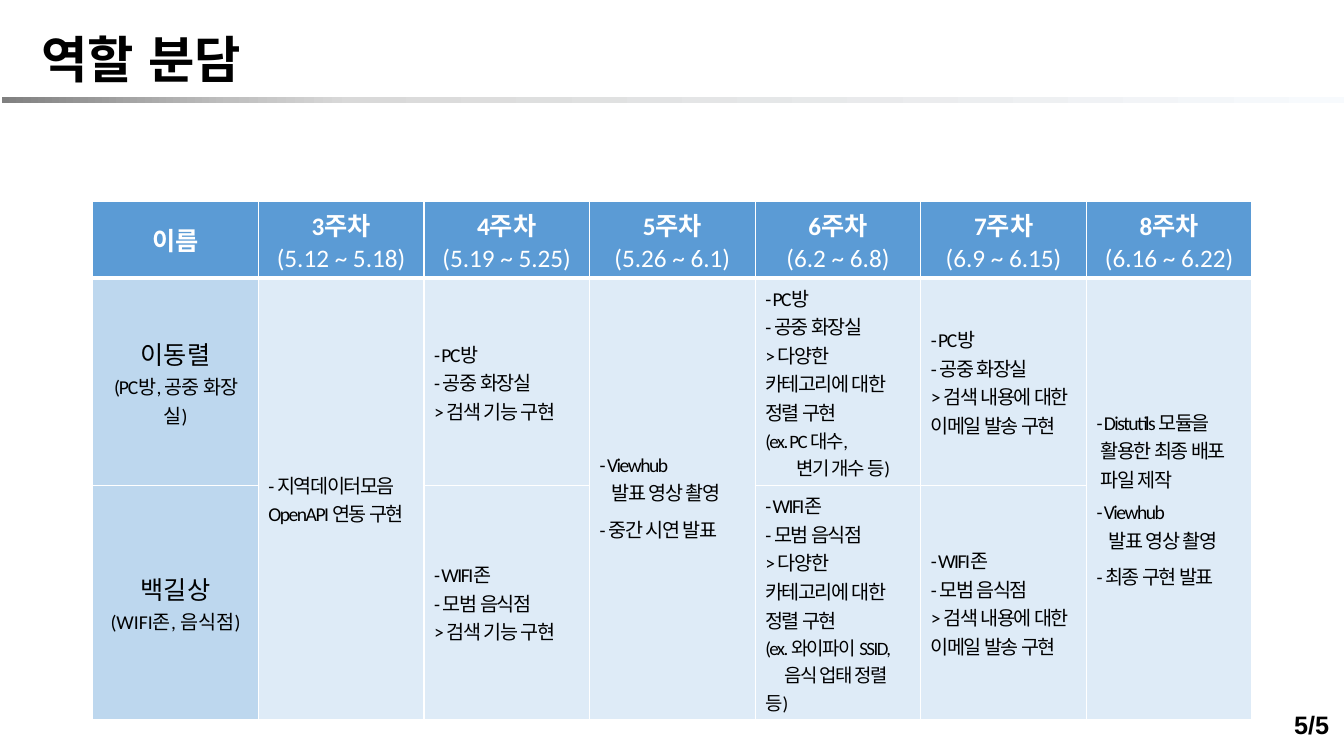
import pptx
import pptx.util
import pptx.dml.color
import pptx.enum.lang
import pptx.enum.shapes
import pptx.enum.text
import lxml.etree

Inches = pptx.util.Inches
Pt = pptx.util.Pt
align = pptx.enum.text.PP_ALIGN
middle = pptx.enum.text.MSO_ANCHOR.MIDDLE
hues = {"black": "000000", "white": "FFFFFF", "head": "5B9BD5",
        "name": "BDD7EE", "body": "DEEBF7"}


def style(para, size, hue="black", bold=False, face="Calibri", track=0):
    for run in para.runs:
        run.font.size = Pt(size)
        run.font.name = face
        run.font.bold = bold
        run.font.language_id = pptx.enum.lang.MSO_LANGUAGE_ID.KOREAN
        run.font.color.rgb = pptx.dml.color.RGBColor.from_string(hues[hue])
        if track:
            run.font._element.set("spc", str(track))


def paint(cell, hue, base):
    cell.vertical_anchor = middle
    cell.fill.solid()
    cell.fill.fore_color.rgb = pptx.dml.color.RGBColor.from_string(hues[hue])
    props = cell._tc.get_or_add_tcPr()
    for spot, side in enumerate("LRTB"):
        wide = base if side == "B" else 1
        line = pptx.oxml.parse_xml(
            f'<a:ln{side} xmlns:a="{space}" w="{Pt(wide)}"><a:solidFill>'
            f'<a:srgbClr val="{hues["white"]}"/></a:solidFill></a:ln{side}>')
        props.insert(spot, line)


space = "http://schemas.openxmlformats.org/drawingml/2006/main"
deck = pptx.Presentation()
deck.slide_width = Inches(13.33)
deck.slide_height = Inches(7.5)
slide = deck.slides.add_slide(deck.slide_layouts[5])

title = slide.shapes.title
title.left, title.top = Inches(0.31), Inches(0.23)
title.width, title.height = Inches(9.09), Inches(0.77)
title.text_frame.text = "역할 분담"
title.text_frame.vertical_anchor = middle
para = title.text_frame.paragraphs[0]
para.alignment = align.LEFT
para.line_spacing = 0.9
style(para, 36, bold=True)

bar = slide.shapes.add_shape(pptx.enum.shapes.MSO_SHAPE.RECTANGLE,
                             Inches(0.02), Inches(0.96), Inches(13.31), Inches(0.06))
bar.shadow.inherit = False
bar.line.fill.background()
bar.fill.gradient()
bar.fill.gradient_angle = 180
stops = bar._element.spPr.find(f".//{{{space}}}gsLst")
for stop in list(stops):
    stops.remove(stop)
for place, hue in ((0, "F7FAFD"), (74, "D9D9D9"), (83, "BFBFBF"), (100, "808080")):
    stop = lxml.etree.SubElement(stops, f"{{{space}}}gs", pos=str(place * 1000))
    lxml.etree.SubElement(stop, f"{{{space}}}srgbClr", val=hue)

page = slide.shapes.add_textbox(Inches(8.77), Inches(6.84), Inches(4.51), Inches(0.55))
page.text_frame.word_wrap = True
page.text_frame.text = "5/5"
para = page.text_frame.paragraphs[0]
para.alignment = align.RIGHT
para.line_spacing = 1.5
para.space_before = Pt(10)
style(para, 18, bold=True, face="Arial")

weeks = ["5.12 ~ 5.18", "5.19 ~ 5.25", "5.26 ~ 6.1", "6.2 ~ 6.8", "6.9 ~ 6.15", "6.16 ~ 6.22"]
heads = [["이름"]] + [[f"{week}주차", f"({days})"] for week, days in enumerate(weeks, 3)]
names = [("이동렬", "(PC방, 공중 화장실)", -80), ("백길상", "(WIFI존, 음식점)", 0)]

film = [("- Viewhub", 0, 0, 14), ("발표 영상 촬영", 0.12, 0, 14)]
tasks = {
    (1, 1): [("- 지역데이터모음", 0, 0, 14), ("OpenAPI 연동 구현", 0, 0, 14)],
    (1, 3): film + [("- 중간 시연 발표", 0, 6, 14)],
    (1, 6): [("- Distutils 모듈을", 0, 0, 14), ("활용한 최종 배포", 0.04, 0, 14),
             ("파일 제작", 0.04, 0, 14), ("- Viewhub", 0, 6, 14), film[1],
             ("- 최종 구현 발표", 0, 6, 14)],
}
parts = [("PC방", "공중 화장실", [("(ex. PC 대수,", 0, 0, 13.5), ("변기 개수 등)", 0.31, 0, 13.5)]),
         ("WIFI존", "모범 음식점", [("(ex. 와이파이 SSID,", 0, 0, 13.5),
                               ("음식 업태 정렬 등)", 0.19, 0, 13.5)])]
for row, (first, second, extra) in enumerate(parts, 1):
    pair = [(f"- {first}", 0, 0, 14), (f"- {second}", 0, 0, 14)]
    tasks[row, 2] = pair + [("> 검색 기능 구현", 0, 0, 14)]
    tasks[row, 4] = pair + [("> 다양한 카테고리에 대한 정렬 구현", 0, 0, 14)] + extra
    tasks[row, 5] = pair + [("> 검색 내용에 대한", 0, 0, 14), ("이메일 발송 구현", 0, 0, 14)]

table = slide.shapes.add_table(3, 7, Inches(0.92), Inches(2), Inches(11.5), Inches(5.14)).table
table.horz_banding = False
for col in table.columns:
    col.width = Inches(11.5 / 7)
for row, height in zip(table.rows, (0.76, 2.06, 2.32)):
    row.height = Inches(height)
for row in range(3):
    for col in range(7):
        hue = "head" if row == 0 else "name" if col == 0 else "body"
        paint(table.cell(row, col), hue, 3 if row == 0 else 1)
for col in (1, 3, 6):
    table.cell(1, col).merge(table.cell(2, col))

for col, lines in enumerate(heads):
    frame = table.cell(0, col).text_frame
    frame.text = "\n".join(lines)
    for spot, para in enumerate(frame.paragraphs):
        para.alignment = align.CENTER
        style(para, 18, "white", spot == 0)

for row, (name, role, track) in enumerate(names, 1):
    frame = table.cell(row, 0).text_frame
    frame.text = f"{name}\n{role}"
    for para, size, gap in zip(frame.paragraphs, (18, 14), (0, track)):
        para.alignment = align.CENTER
        style(para, size, track=gap)

for (row, col), lines in tasks.items():
    frame = table.cell(row, col).text_frame
    frame.text = "\n".join(line[0] for line in lines)
    for para, (text, indent, before, size) in zip(frame.paragraphs, lines):
        para.space_before = Pt(before)
        if indent:
            para._p.get_or_add_pPr().set("indent", str(Inches(indent)))
        style(para, size, track=-110)

deck.save("out.pptx")
